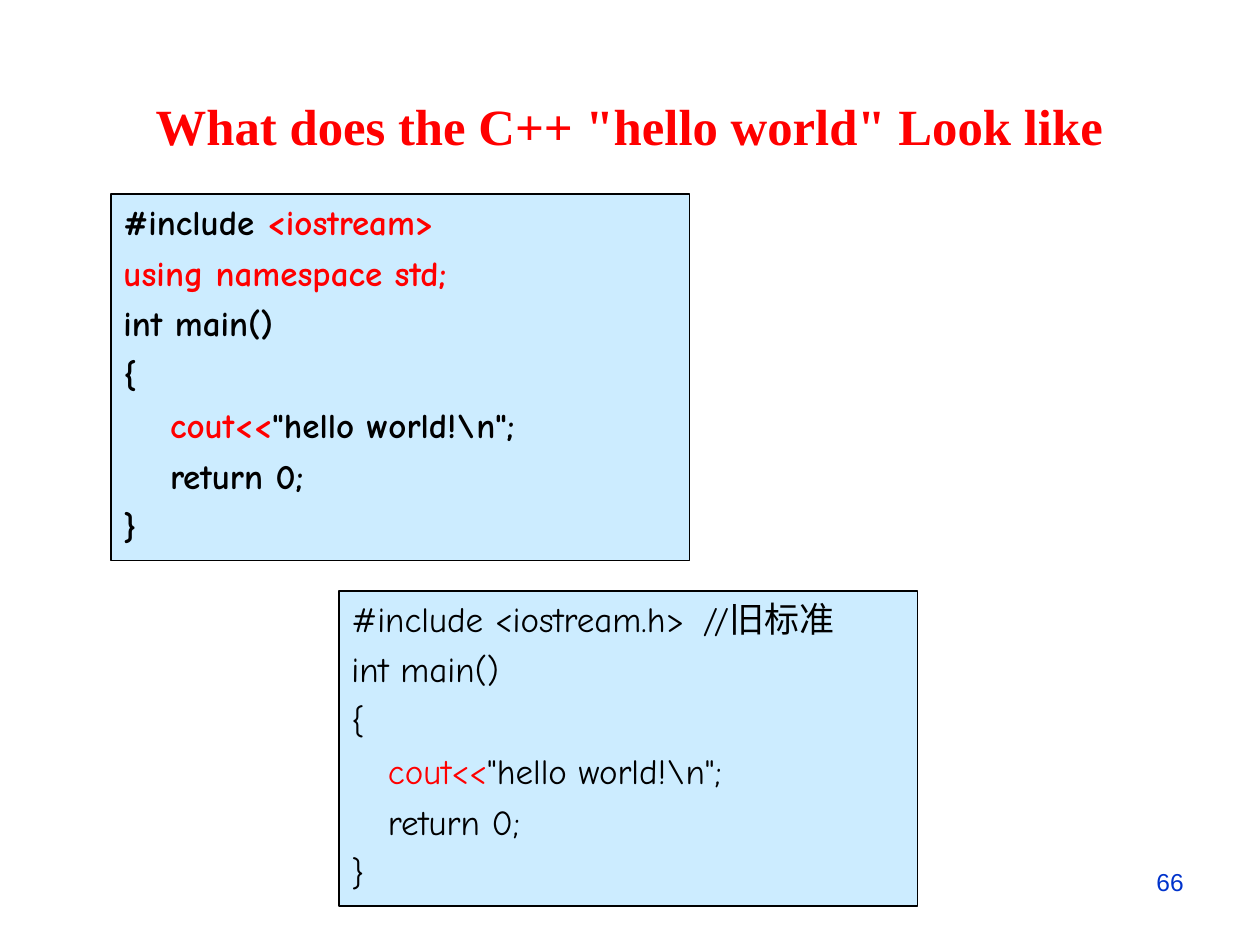
from dataclasses import dataclass

from lxml import etree
from pptx import Presentation
from pptx.dml.color import RGBColor
from pptx.enum import shapes, text
from pptx.oxml.ns import qn
from pptx.util import Inches, Pt


@dataclass(frozen=True)
class Theme:
    """Colours, fonts and type sizes of the slide."""
    red: RGBColor = RGBColor(0xFF, 0, 0)
    black: RGBColor = RGBColor(0, 0, 0)
    blue: RGBColor = RGBColor(0, 0x33, 0xCC)
    panel: RGBColor = RGBColor(0xCC, 0xEC, 0xFF)
    title_font: str = "Times New Roman"
    code_font: str = "Comic Neue"
    number_font: str = "Arial"
    title_size: Pt = Pt(29)
    code_size: Pt = Pt(20)
    number_size: Pt = Pt(14)
    code_gap: Pt = Pt(5)
    outline: Pt = Pt(0.75)


THEME = Theme()
RED, BLACK = THEME.red, THEME.black

TITLE = 'What does the C++ "hello world" Look like'
PAGE_NUMBER = "66"

# Each line of code is a list of (text, colour) pieces.
MAIN_BODY = [
    [("{", BLACK)],
    [("\t", BLACK), ("cout<<", RED), ('"hello world!\\n";', BLACK)],
    [("\treturn 0;", BLACK)],
    [("}", BLACK)],
]
NEW_STANDARD = [
    [("#include ", BLACK), ("<iostream>", RED)],
    [("using namespace std;", RED)],
    [("int main()", BLACK)],
] + MAIN_BODY
OLD_STANDARD = [
    [("#include <iostream.h>\t//旧标准", BLACK)],
    [("int main()", BLACK)],
] + MAIN_BODY

TITLE_BOX = (0.33, 0.7, 9.34, 0.59)
NEW_BOX = (0.88, 1.54, 4.59, 2.91)
OLD_BOX = (2.69, 4.69, 4.59, 2.5)
NUMBER_BOX = (9.08, 6.83, 0.54, 0.34)
COMMENT_TAB = 2.93


def place(shape, box):
    """Move a shape to a box given in inches."""
    shape.left, shape.top, shape.width, shape.height = map(Inches, box)


def set_font(font, name, size, bold, color=None):
    """Set the face, size, weight and, if given, colour of a font."""
    font.name, font.size, font.bold = name, size, bold
    if color is not None:
        font.color.rgb = color


def prepare_frame(shape, anchor):
    """Return the wrapped, fixed-size text frame of a shape."""
    frame = shape.text_frame
    frame.word_wrap = True
    frame.auto_size = text.MSO_AUTO_SIZE.NONE
    frame.vertical_anchor = anchor
    return frame


def write_line(shape, content, font, anchor, align):
    """Write one paragraph in one font."""
    paragraph = prepare_frame(shape, anchor).paragraphs[0]
    paragraph.text = content
    paragraph.alignment = align
    set_font(paragraph.font, *font)


def format_code_paragraph(paragraph, indent, bold):
    """Give a code line its hanging indent, tab stop and font."""
    paragraph.alignment = text.PP_ALIGN.LEFT
    paragraph.space_before = THEME.code_gap
    properties = paragraph._p.get_or_add_pPr()
    properties.set("marL", str(Inches(indent)))
    properties.set("indent", str(-Inches(indent)))
    etree.SubElement(properties, qn("a:buNone"))
    tabs = etree.SubElement(properties, qn("a:tabLst"))
    for position in (indent, COMMENT_TAB):
        etree.SubElement(tabs, qn("a:tab"), pos=str(Inches(position)), algn="l")
    set_font(paragraph.font, THEME.code_font, THEME.code_size, bold)


def fill_code_panel(shape, box, lines, indent, bold):
    """Style a panel and write its lines of code."""
    place(shape, box)
    shape.fill.solid()
    shape.fill.fore_color.rgb = THEME.panel
    shape.line.color.rgb = THEME.black
    shape.line.width = THEME.outline
    frame = prepare_frame(shape, text.MSO_ANCHOR.TOP)
    for index, pieces in enumerate(lines):
        paragraph = frame.add_paragraph() if index else frame.paragraphs[0]
        format_code_paragraph(paragraph, indent, bold)
        for content, color in pieces:
            run = paragraph.add_run()
            run.text = content
            run.font.color.rgb = color


def build():
    """Build and save the slide."""
    presentation = Presentation()
    presentation.slide_width, presentation.slide_height = Inches(10), Inches(7.5)
    slide = presentation.slides.add_slide(presentation.slide_layouts[1])

    title, new_panel = slide.placeholders
    place(title, TITLE_BOX)
    write_line(title, TITLE, (THEME.title_font, THEME.title_size, True, RED),
               text.MSO_ANCHOR.MIDDLE, text.PP_ALIGN.CENTER)

    fill_code_panel(new_panel, NEW_BOX, NEW_STANDARD, 0.37, True)
    old_panel = slide.shapes.add_shape(
        shapes.MSO_SHAPE.RECTANGLE, *map(Inches, OLD_BOX))
    old_panel.shadow.inherit = False
    fill_code_panel(old_panel, OLD_BOX, OLD_STANDARD, 0.29, False)

    number = slide.shapes.add_textbox(*map(Inches, NUMBER_BOX))
    write_line(number, PAGE_NUMBER,
               (THEME.number_font, THEME.number_size, False, THEME.blue),
               text.MSO_ANCHOR.TOP, text.PP_ALIGN.LEFT)
    presentation.save("out.pptx")


build()
